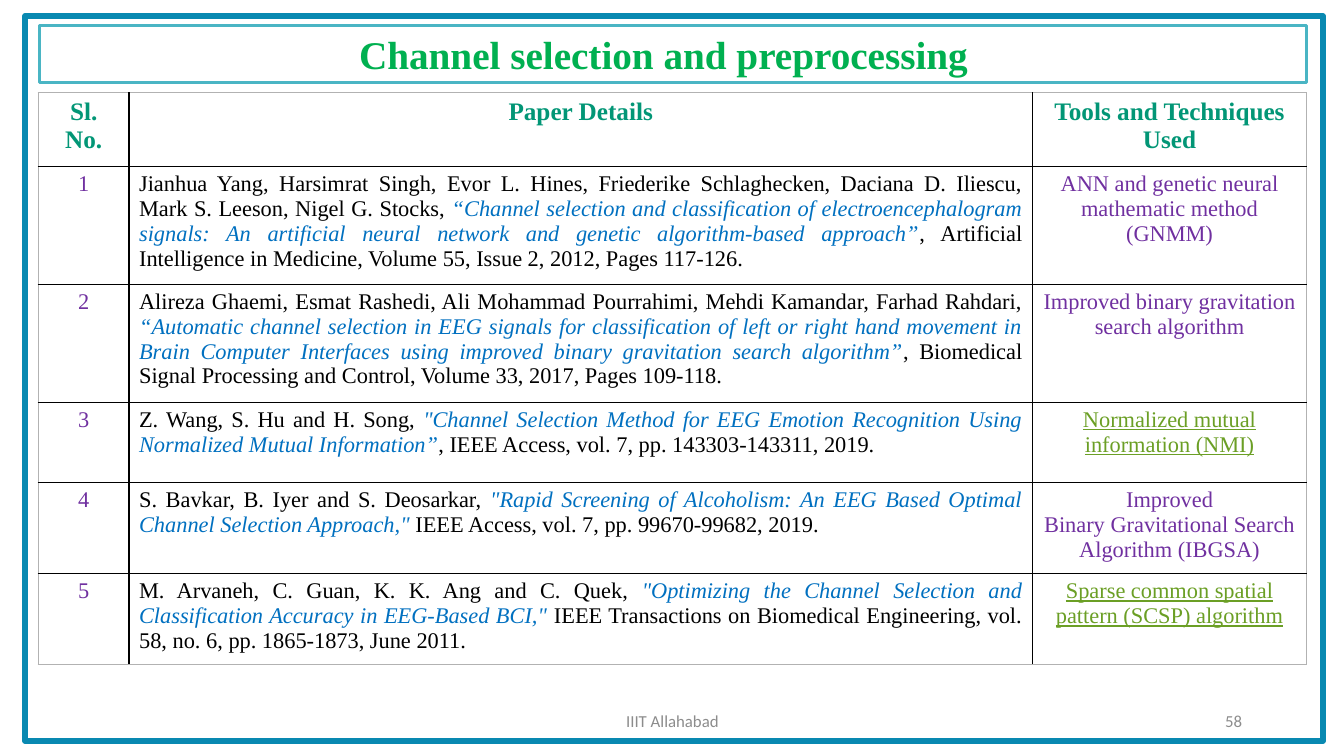
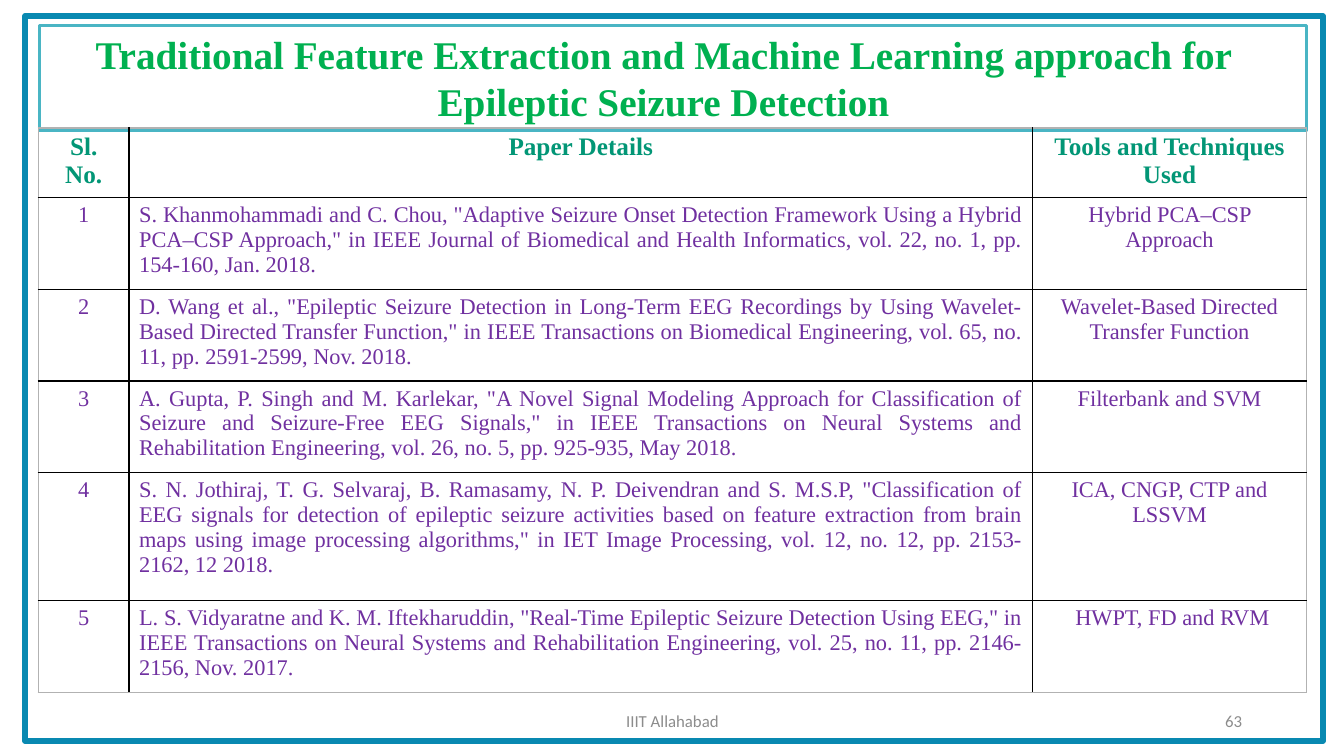
"""Build two literature survey slides on EEG signal analysis."""
import pptx
import pptx.dml.color
import pptx.enum.shapes
import pptx.enum.text
import pptx.oxml
import pptx.oxml.ns
import pptx.util

Inches = pptx.util.Inches
Pt = pptx.util.Pt
ALIGN = pptx.enum.text.PP_ALIGN
ANCHOR = pptx.enum.text.MSO_ANCHOR
PLACEHOLDER = pptx.enum.shapes.PP_PLACEHOLDER

COLORS = {
    "frame": "0989B1",
    "title_line": "4AB5C4",
    "title": "00B050",
    "header": "029676",
    "purple": "7030A0",
    "black": "000000",
    "paper": "0070C0",
    "link": "6B9F25",
    "edge": "B2B2B2",
    "footer": "8C8C8C",
}
SERIF = "Times New Roman"
SANS = "Calibri"
COLUMN_WIDTHS = (0.9, 8.96, 2.72)
HEADERS = ("Sl. No.", "Paper Details", "Tools and Techniques Used")
FOOTER = "IIIT Allahabad"

CHANNEL_PAPERS = [
    (("Jianhua Yang, Harsimrat Singh, Evor L. Hines, Friederike Schlaghecken, Daciana D. Iliescu, "
      "Mark S. Leeson, Nigel G. Stocks, ",
      "“Channel selection and classification of electroencephalogram signals: An artificial neural "
      "network and genetic algorithm-based approach”",
      ", Artificial Intelligence in Medicine, Volume 55, Issue 2, 2012, Pages 117-126."),
     ["ANN and genetic neural mathematic method (GNMM)"], False),
    (("Alireza Ghaemi, Esmat Rashedi, Ali Mohammad Pourrahimi, Mehdi Kamandar, Farhad Rahdari, ",
      "“Automatic channel selection in EEG signals for classification of left or right hand movement "
      "in Brain Computer Interfaces using improved binary gravitation search algorithm”",
      ", Biomedical Signal Processing and Control, Volume 33, 2017, Pages 109-118."),
     ["Improved binary gravitation search algorithm"], False),
    (("Z. Wang, S. Hu and H. Song, ",
      "\"Channel Selection Method for EEG Emotion Recognition Using Normalized Mutual Information”",
      ", IEEE Access, vol. 7, pp. 143303-143311, 2019."),
     ["Normalized mutual information (NMI)"], True),
    (("S. Bavkar, B. Iyer and S. Deosarkar, ",
      "\"Rapid Screening of Alcoholism: An EEG Based Optimal Channel Selection Approach,\"",
      " IEEE Access, vol. 7, pp. 99670-99682, 2019."),
     ["Improved", "Binary Gravitational Search Algorithm (IBGSA)"], False),
    (("M. Arvaneh, C. Guan, K. K. Ang and C. Quek, ",
      "\"Optimizing the Channel Selection and Classification Accuracy in EEG-Based BCI,\"",
      " IEEE Transactions on Biomedical Engineering, vol. 58, no. 6, pp. 1865-1873, June 2011."),
     ["Sparse common spatial", "pattern (SCSP) algorithm"], True),
]

SEIZURE_PAPERS = [
    (("S. Khanmohammadi and C. Chou, \"Adaptive Seizure Onset Detection Framework Using a Hybrid "
      "PCA–CSP Approach,\" in IEEE Journal of Biomedical and Health Informatics, vol. 22, no. 1, "
      "pp. 154-160, Jan. 2018.",),
     ["Hybrid PCA–CSP Approach"], False),
    (("D. Wang et al., \"Epileptic Seizure Detection in Long-Term EEG Recordings by Using "
      "Wavelet-Based Directed Transfer Function,\" in IEEE Transactions on Biomedical Engineering, "
      "vol. 65, no. 11, pp. 2591-2599, Nov. 2018.",),
     ["Wavelet-Based Directed", "Transfer Function"], False),
    (("A. Gupta, P. Singh and M. Karlekar, \"A Novel Signal Modeling Approach for Classification of "
      "Seizure and Seizure-Free EEG Signals,\" in IEEE Transactions on Neural Systems and "
      "Rehabilitation Engineering, vol. 26, no. 5, pp. 925-935, May 2018.",),
     ["Filterbank and SVM"], False),
    (("S. N. Jothiraj, T. G. Selvaraj, B. Ramasamy, N. P. Deivendran and S. M.S.P, "
      "\"Classification of EEG signals for detection of epileptic seizure activities based on feature "
      "extraction from brain maps using image processing algorithms,\" in IET Image Processing, "
      "vol. 12, no. 12, pp. 2153-2162, 12 2018.",),
     ["ICA, CNGP, CTP and LSSVM"], False),
    (("L. S. Vidyaratne and K. M. Iftekharuddin, \"Real-Time Epileptic Seizure Detection Using EEG,\" "
      "in IEEE Transactions on Neural Systems and Rehabilitation Engineering, vol. 25, no. 11, "
      "pp. 2146-2156, Nov. 2017.",),
     [" HWPT, FD and RVM"], False),
]


def rgb(name):
    """Return the named palette colour."""
    return pptx.dml.color.RGBColor.from_string(COLORS[name])


def place(box, left, top, width, height):
    """Move and size a shape, in inches."""
    box.left, box.top = Inches(left), Inches(top)
    box.width, box.height = Inches(width), Inches(height)


def add_span(para, text, color, size=16, font=SERIF, bold=False, italic=False, underline=False):
    """Add one formatted run to a paragraph."""
    span = para.add_run()
    span.text = text
    span.font.name = font
    span.font.size = Pt(size)
    span.font.bold = bold
    span.font.italic = italic
    span.font.underline = underline
    span.font.color.rgb = rgb(color)


def add_frame(page):
    """Draw the border around the page."""
    frame = page.shapes.add_shape(
        pptx.enum.shapes.MSO_SHAPE.RECTANGLE,
        Inches(0.25), Inches(0.16), Inches(12.87), Inches(7.19))
    frame.shadow.inherit = False
    frame.fill.background()
    frame.line.color.rgb = rgb("frame")
    frame.line.width = Pt(4.5)


def set_title(page, text, height):
    """Fill the outlined title placeholder."""
    title = page.shapes.title
    place(title, 0.39, 0.25, 12.57, height)
    title.line.color.rgb = rgb("title_line")
    title.line.width = Pt(2.25)
    frame = title.text_frame
    frame.word_wrap = True
    frame.auto_size = pptx.enum.text.MSO_AUTO_SIZE.NONE
    frame.vertical_anchor = ANCHOR.TOP
    frame.margin_right = Inches(0.29)
    para = frame.paragraphs[0]
    para.alignment = ALIGN.CENTER
    add_span(para, text, "title", 28, bold=True)


def add_footers(page, number):
    """Add the footer and page number placeholders."""
    footers = {
        PLACEHOLDER.FOOTER: (FOOTER, 4.42, 4.5, ALIGN.CENTER),
        PLACEHOLDER.SLIDE_NUMBER: (str(number), 9.42, 3, ALIGN.RIGHT),
    }
    for source in page.slide_layout.placeholders:
        kind = source.placeholder_format.type
        if kind in footers:
            text, left, width, alignment = footers[kind]
            page.shapes.clone_placeholder(source)
            box = page.shapes[-1]
            place(box, left, 6.95, width, 0.4)
            box.text_frame.vertical_anchor = ANCHOR.MIDDLE
            para = box.text_frame.paragraphs[0]
            para.alignment = alignment
            add_span(para, text, "footer", 12, SANS)


def set_borders(cell, outer_sides):
    """Draw black inner borders and grey outer borders on a cell."""
    for side in "LRTB":
        color = COLORS["edge" if side in outer_sides else "black"]
        cell._tc.get_or_add_tcPr().append(pptx.oxml.parse_xml(
            f'<a:ln{side} {pptx.oxml.ns.nsdecls("a")} w="{Pt(1)}"><a:solidFill>'
            f'<a:srgbClr val="{color}"/></a:solidFill></a:ln{side}>'))
    cell.fill.background()


def fill_cell(cell, lines, alignment=ALIGN.CENTER):
    """Write lines, each a list of (text, style) pairs, into a cell."""
    frame = cell.text_frame
    for index, spans in enumerate(lines):
        para = frame.add_paragraph() if index else frame.paragraphs[0]
        para.alignment = alignment
        for text, style in spans:
            add_span(para, text, **style)


def citation_spans(parts):
    """Pair the parts of a citation with their styles."""
    if len(parts) == 1:
        return [(parts[0], {"color": "purple"})]
    plain = {"color": "black"}
    return list(zip(parts, (plain, {"color": "paper", "italic": True}, plain)))


def add_paper_table(page, top, heights, papers):
    """Add the table of papers with its header row."""
    grid = page.shapes.add_table(
        len(heights), len(COLUMN_WIDTHS), Inches(0.38), Inches(top),
        Inches(sum(COLUMN_WIDTHS)), Inches(sum(heights))).table
    grid.first_row = grid.horz_banding = False
    for column, width in zip(grid.columns, COLUMN_WIDTHS):
        column.width = Inches(width)
    last_row, last_column = len(heights) - 1, len(COLUMN_WIDTHS) - 1
    for row_index, height in enumerate(heights):
        grid.rows[row_index].height = Inches(height)
        for column_index in range(len(COLUMN_WIDTHS)):
            edges = {"L": column_index == 0, "R": column_index == last_column,
                     "T": row_index == 0, "B": row_index == last_row}
            set_borders(grid.cell(row_index, column_index),
                        [side for side, is_outer in edges.items() if is_outer])
    header = {"color": "header", "size": 18, "bold": True}
    for column_index, text in enumerate(HEADERS):
        fill_cell(grid.cell(0, column_index), [[(text, header)]])
    for number, (parts, tools, linked) in enumerate(papers, 1):
        tool_style = {"color": "link" if linked else "purple", "underline": linked}
        fill_cell(grid.cell(number, 0), [[(str(number), {"color": "purple"})]])
        fill_cell(grid.cell(number, 1), [citation_spans(parts)], ALIGN.JUSTIFY)
        fill_cell(grid.cell(number, 2), [[(tool, tool_style)] for tool in tools])


def add_survey_page(deck, number, title, title_height, table_top, heights, papers):
    """Add one complete survey page."""
    page = deck.slides.add_slide(deck.slide_layouts.get_by_name("Title Only"))
    set_title(page, title, title_height)
    add_footers(page, number)
    add_frame(page)
    add_paper_table(page, table_top, heights, papers)


def main():
    """Build and save the deck."""
    deck = pptx.Presentation()
    deck.slide_width, deck.slide_height = Inches(13.33), Inches(7.5)
    add_survey_page(deck, 58, "Channel selection and preprocessing", 0.57, 0.92,
                    (0.73, 1.17, 1.17, 0.8, 0.9, 0.9), CHANNEL_PAPERS)
    add_survey_page(deck, 63, "Traditional Feature Extraction and Machine Learning approach for "
                    "Epileptic Seizure Detection", 1.04, 1.27,
                    (0.69, 0.91, 0.91, 0.91, 1.27, 0.91), SEIZURE_PAPERS)
    deck.save("out.pptx")


if __name__ == "__main__":
    main()
